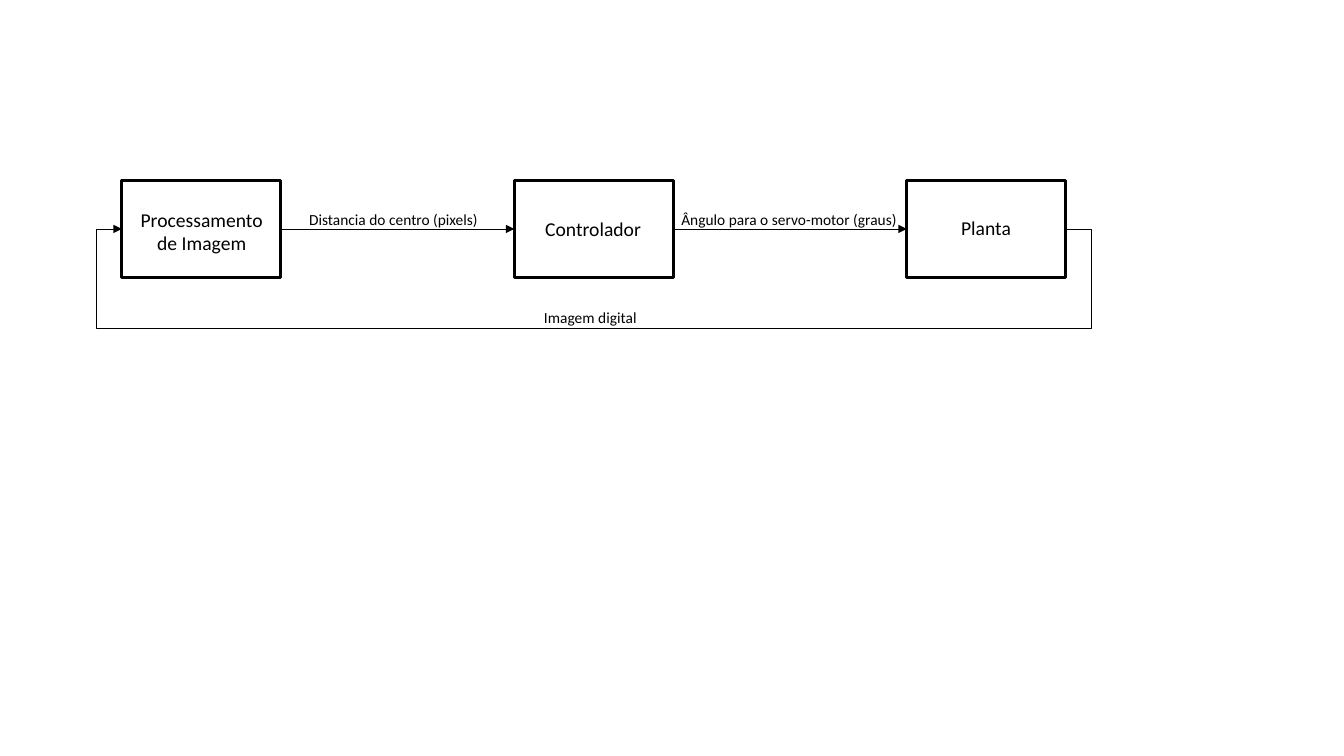
from pptx import Presentation
from pptx.dml.color import RGBColor
from pptx.enum.shapes import MSO_CONNECTOR, MSO_SHAPE
from pptx.enum.text import MSO_AUTO_SIZE, PP_ALIGN
from pptx.oxml.ns import qn
from pptx.util import Cm, Pt
from lxml import etree

RECT = MSO_SHAPE.RECTANGLE
STRAIGHT = MSO_CONNECTOR.STRAIGHT
GROW = MSO_AUTO_SIZE.SHAPE_TO_FIT_TEXT
LEFT, CENTER = PP_ALIGN.LEFT, PP_ALIGN.CENTER
BLACK = "000000"
FONT = "Calibri"

BOX_W, BOX_H = 4.01, 2.44
PITCH = 9.89
MID = BOX_H / 2
# Block name and its place inside the block: text, x, y, width, height, align
NAMES = [
    ("Processamento\vde Imagem", 0.2, 0.56, 3.63, 1.45, CENTER),
    ("Controlador", 0.53, 0.79, 2.95, 0.86, LEFT),
    ("Planta", 1.12, 0.76, 1.78, 0.86, LEFT),
]
# Signal name and its place from the left of the block it leaves
SIGNALS = [
    ("Distancia do centro (pixels)", 4.47, 4.83),
    ("Ângulo para o servo-motor (graus)", 3.96, 5.94),
]


def color(code):
    """Turn a hex string into a colour."""
    return RGBColor.from_string(code)


def stroke(shape, width, arrow=False):
    """Set a black line, with an arrowhead at its end if asked."""
    shape.line.color.rgb = color(BLACK)
    shape.line.width = Pt(width)
    if arrow:
        line = shape.line._get_or_add_ln()
        etree.SubElement(line, qn("a:tailEnd"), type="triangle")


def label(slide, text, x, y, w, h, size, wrap=True, align=LEFT):
    """Add a text box."""
    frame = slide.shapes.add_textbox(Cm(x), Cm(y), Cm(w), Cm(h)).text_frame
    frame.text = text
    frame.word_wrap = wrap
    frame.auto_size = GROW
    for para in frame.paragraphs:
        para.alignment = align
        for run in para.runs:
            run.font.name = FONT
            run.font.size = Pt(size)
            run.font.color.rgb = color(BLACK)


def block(slide, x, y, name):
    """Draw one block with its name."""
    shape = slide.shapes.add_shape(RECT, Cm(x), Cm(y), Cm(BOX_W), Cm(BOX_H))
    shape.shadow.inherit = False
    shape.fill.background()
    stroke(shape, 2.25)
    text, dx, dy, w, h, align = name
    label(slide, text, x + dx, y + dy, w, h, 14, False, align)


def signal(slide, x, y, text, dx, w):
    """Draw the arrow from the block at x, y to the next, with its label."""
    label(slide, text, x + dx, y + 0.61, w, 0.74, 11)
    line = slide.shapes.add_connector(
        STRAIGHT, Cm(x + BOX_W), Cm(y + MID), Cm(x + PITCH), Cm(y + MID))
    stroke(line, 0.5, True)
    etree.SubElement(line._element.spPr, qn("a:effectLst"))


def feedback(slide, x, y, end):
    """Draw the return path from the right edge, end, back to x."""
    label(slide, "Imagem digital", x + 10.39, y + 3.1, 9.14, 0.74, 11)
    gap, mid = 0.64, y + MID
    low = mid + 2.51
    points = [(end + gap, mid), (end + gap, low),
              (x - gap, low), (x - gap, mid), (x, mid)]
    pen = slide.shapes.build_freeform(Cm(end), Cm(mid))
    pen.add_line_segments([(Cm(a), Cm(b)) for a, b in points], close=False)
    loop = pen.convert_to_shape()
    loop.shadow.inherit = False
    loop.fill.background()
    stroke(loop, 0.5, True)


def diagram(slide, x, y):
    """Draw the control loop with its top left block at x, y."""
    lefts = [x + i * PITCH for i in range(len(NAMES))]
    for left, name in zip(lefts, NAMES):
        block(slide, left, y, name)
    for left, (text, dx, w) in zip(lefts, SIGNALS):
        signal(slide, left, y, text, dx, w)
    feedback(slide, x, y, lefts[-1] + BOX_W)


deck = Presentation()
deck.slide_width, deck.slide_height = Cm(33.87), Cm(19.05)
diagram(deck.slides.add_slide(deck.slide_layouts[6]), 3.07, 4.55)
deck.save("out.pptx")
